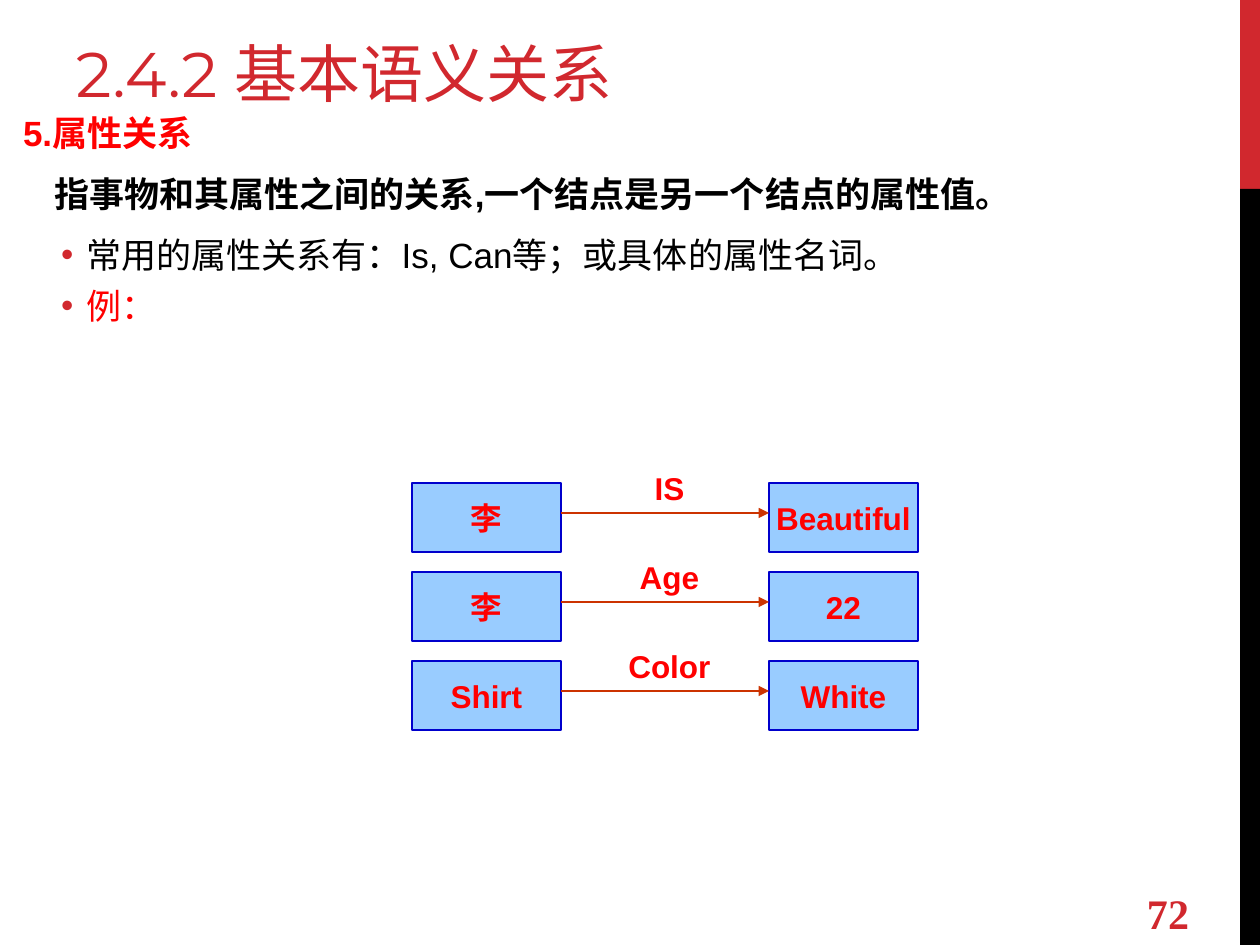
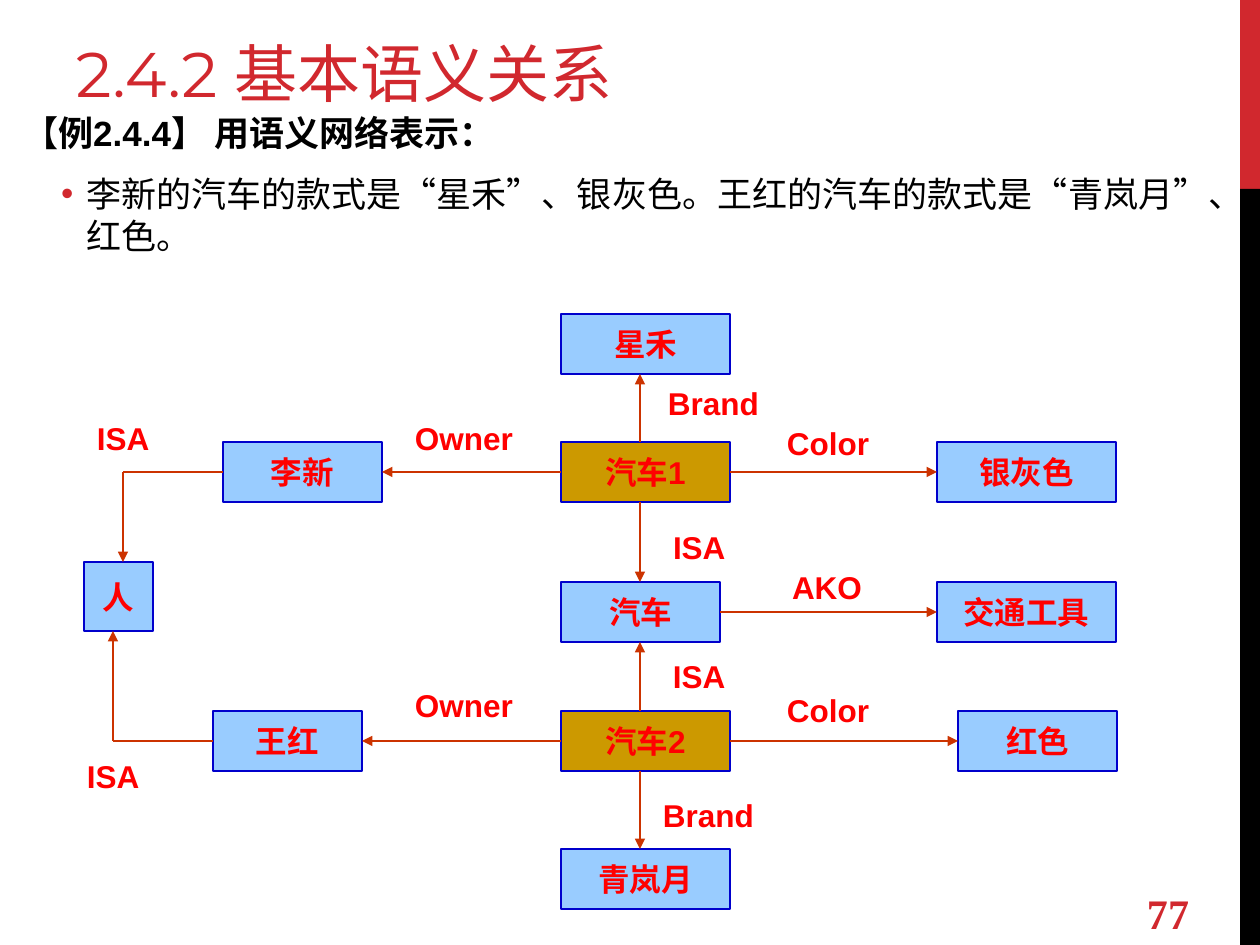
from dataclasses import dataclass

from lxml.etree import SubElement
from pptx import Presentation
from pptx.dml.color import RGBColor
from pptx.enum.shapes import MSO_CONNECTOR, MSO_SHAPE
from pptx.enum.text import MSO_ANCHOR as Anchor, PP_ALIGN as Align
from pptx.oxml.ns import qn
from pptx.util import Pt

EMU_PER_PX = 914400 / 126
SLIDE_WIDTH, SLIDE_HEIGHT = 1260, 945

CRIMSON = RGBColor(0xD1, 0x28, 0x2E)
RED = RGBColor(0xFF, 0x00, 0x00)
BLACK = RGBColor(0x00, 0x00, 0x00)
SKY = RGBColor(0x99, 0xCC, 0xFF)
GOLD = RGBColor(0xCC, 0x99, 0x00)
NAVY = RGBColor(0x00, 0x00, 0xCC)
RUST = RGBColor(0xCC, 0x33, 0x00)

BODY_FONT, TITLE_FONT, SERIF_FONT = "Arial", "Montserrat", "Times New Roman"
TITLE = "2.4.2 基本语义关系"
NODE_HEIGHT = 60
NORMAL_INSETS, SLIM_INSETS = (13, 6), (8, 1)


@dataclass
class Node:
    text: str
    left: int
    top: int
    width: int
    height: int = NODE_HEIGHT
    fill: RGBColor = SKY

    @property
    def right(self):
        return self.left + self.width

    @property
    def bottom(self):
        return self.top + self.height


def px(*lengths):
    return [round(length * EMU_PER_PX) for length in lengths]


def style(paragraph, size, color, bold=True, name=BODY_FONT):
    font = paragraph.font
    font.size, font.bold, font.name = Pt(size), bold, name
    font.color.rgb = color


def add_text_frame(slide, box, anchor=Anchor.TOP, insets=NORMAL_INSETS):
    frame = slide.shapes.add_textbox(*px(*box)).text_frame
    frame.word_wrap = True
    frame.vertical_anchor = anchor
    frame.margin_left, frame.margin_top = px(*insets)
    frame.margin_right, frame.margin_bottom = px(*insets)
    return frame


def add_rectangle(slide, box, fill):
    shape = slide.shapes.add_shape(MSO_SHAPE.RECTANGLE, *px(*box))
    shape.shadow.inherit = False
    shape.fill.solid()
    shape.fill.fore_color.rgb = fill
    shape.line.fill.background()
    return shape


def add_node(slide, node, left=0, top=0):
    box = left + node.left, top + node.top, node.width, node.height
    shape = add_rectangle(slide, box, node.fill)
    shape.line.color.rgb = NAVY
    shape.line.width = Pt(0.75)
    frame = shape.text_frame
    frame.word_wrap = False
    frame.vertical_anchor = Anchor.MIDDLE
    paragraph = frame.paragraphs[0]
    paragraph.text = node.text
    paragraph.alignment = Align.CENTER
    style(paragraph, 18, RED)


def add_line(slide, start, end, arrow=True):
    connector = slide.shapes.add_connector(MSO_CONNECTOR.STRAIGHT, *px(*start, *end))
    connector.line.color.rgb = RUST
    connector.line.width = Pt(1.5)
    properties = connector._element.spPr
    if arrow:
        SubElement(properties.find(qn("a:ln")), qn("a:tailEnd"), type="triangle")
    SubElement(properties, qn("a:effectLst"))


def add_label(slide, text, left, top, width, slim=False, align=Align.LEFT):
    box = left, top, width, 40 if slim else 50
    frame = add_text_frame(slide, box, insets=SLIM_INSETS if slim else NORMAL_INSETS)
    paragraph = frame.paragraphs[0]
    paragraph.text = text
    paragraph.alignment = align
    style(paragraph, 18, RED)


def add_page(presentation, number):
    """Add a slide with the title, side bands and page number."""
    slide = presentation.slides.add_slide(presentation.slide_layouts[6])
    add_rectangle(slide, (1240, 0, 20, 189), CRIMSON)
    add_rectangle(slide, (1240, 189, 20, 756), BLACK)
    title = add_text_frame(slide, (63, 21, 798, 95), Anchor.BOTTOM).paragraphs[0]
    title.text = TITLE
    style(title, 36, CRIMSON, False, TITLE_FONT)
    page = add_text_frame(slide, (1134, 888, 181, 50), Anchor.MIDDLE).paragraphs[0]
    page.text = str(number)
    style(page, 24, CRIMSON, True, SERIF_FONT)
    return slide


def set_indent(paragraph, left, hanging=0):
    margin, indent = px(left, -hanging)
    properties = paragraph._p.get_or_add_pPr()
    properties.set("marL", str(margin))
    properties.set("indent", str(indent))
    return properties


def add_heading(paragraph, text, color, indent=0):
    paragraph.text = text
    paragraph.space_after = Pt(6)
    set_indent(paragraph, indent)
    style(paragraph, 20, color)


def add_bullet(frame, pieces, color=BLACK):
    """Add a bulleted paragraph; quotation marks are set in the serif font."""
    paragraph = frame.add_paragraph()
    paragraph.space_before = Pt(5)
    properties = set_indent(paragraph, 63, 25)
    bullet_color = SubElement(properties, qn("a:buClr"))
    SubElement(bullet_color, qn("a:srgbClr"), val=str(CRIMSON))
    SubElement(properties, qn("a:buFont"), typeface=BODY_FONT)
    SubElement(properties, qn("a:buChar"), char="•")
    style(paragraph, 20, color, False)
    for piece in pieces:
        run = paragraph.add_run()
        run.text = piece
        if piece in "“”":
            run.font.name = SERIF_FONT


def add_relation(slide, left, top, subject, label, value):
    """Draw one subject, labelled arrow and value in a row."""
    source = Node(subject, 0, 0, 149, 69)
    target = Node(value, 357, 0, 149, 69)
    for node in (source, target):
        add_node(slide, node, left, top)
    arrow_y = top + 30
    add_line(slide, (left + source.right, arrow_y), (left + target.left, arrow_y))
    add_label(slide, label, left + 188, top - 20, 139, align=Align.CENTER)


def add_car_network(slide, left, top):
    hub, far, spine = 477, 853, 556
    row_brand1, row_car1, row_kind, row_car2, row_brand2 = 0, 128, 268, 397, 535
    brand1 = Node("星禾", hub, row_brand1, 169)
    owner1 = Node("李新", 139, row_car1, 159)
    car1 = Node("汽车1", hub, row_car1, 169, fill=GOLD)
    color1 = Node("银灰色", far, row_car1, 179)
    person = Node("人", 0, 248, 69, 69)
    kind = Node("汽车", hub, row_kind, 159)
    vehicle = Node("交通工具", far, row_kind, 179)
    owner2 = Node("王红", 129, row_car2, 149)
    car2 = Node("汽车2", hub, row_car2, 169, fill=GOLD)
    color2 = Node("红色", 874, row_car2, 159)
    brand2 = Node("青岚月", hub, row_brand2, 169)

    def line(start, end, arrow=True):
        add_line(slide, (left + start[0], top + start[1]),
                 (left + end[0], top + end[1]), arrow)

    def link(source, target):
        """Join nodes across their row, or along the spine between rows."""
        if source.top == target.top:
            y = source.top + NODE_HEIGHT // 2
            if source.left < target.left:
                line((source.right, y), (target.left, y))
            else:
                line((source.left, y), (target.right, y))
        elif source.top < target.top:
            line((spine, source.bottom), (spine, target.top))
        else:
            line((spine, source.top), (spine, target.bottom))

    for node in (brand1, owner1, car1, color1, person, kind, vehicle,
                 owner2, car2, color2, brand2):
        add_node(slide, node, left, top)

    for car, neighbours in ((car1, (brand1, owner1, color1, kind)),
                            (car2, (brand2, owner2, color2, kind)),
                            (kind, (vehicle,))):
        for neighbour in neighbours:
            link(car, neighbour)

    for owner, x, person_edge in ((owner1, 39, person.top),
                                  (owner2, 29, person.bottom)):
        y = owner.top + NODE_HEIGHT // 2
        line((owner.left, y), (x, y), arrow=False)
        line((x, y), (x, person_edge))

    for text, x, y, width, slim in (
            ("Brand", 576, 69, 139, True), ("Owner", 318, 99, 139, False),
            ("Color", 695, 109, 100, True), ("ISA", 576, 208, 80, False),
            ("ISA", 576, 337, 100, False), ("AKO", 695, 248, 110, False),
            ("Color", 695, 376, 139, True), ("Owner", 318, 366, 129, False),
            ("Brand", 566, 476, 149, False), ("ISA", 0, 99, 90, False),
            ("ISA", -10, 437, 100, False)):
        add_label(slide, text, left + x, top + y, width, slim)


def build_attribute_slide(presentation):
    slide = add_page(presentation, 72)
    frame = add_text_frame(slide, (10, 105, 1239, 321))
    add_heading(frame.paragraphs[0], "5.属性关系", RED)
    definition = frame.add_paragraph()
    definition.space_before = Pt(5)
    add_heading(definition, "指事物和其属性之间的关系,一个结点是另一个结点的属性值。", BLACK, 31)
    add_bullet(frame, ["常用的属性关系有：Is, Can等；或具体的属性名词。"])
    add_bullet(frame, ["例："], RED)
    relations = (("李", "IS", "Beautiful"), ("李", "Age", "22"),
                 ("Shirt", "Color", "White"))
    for row, relation in enumerate(relations):
        add_relation(slide, 412, 483 + 89 * row, *relation)


def build_example_slide(presentation):
    slide = add_page(presentation, 77)
    frame = add_text_frame(slide, (10, 105, 1239, 181))
    add_heading(frame.paragraphs[0], "【例2.4.4】 用语义网络表示：", BLACK)
    add_bullet(frame, ["李新的汽车的款式是", "“", "星禾", "”", "、银灰色。王红的汽车的款式是",
                       "“", "青岚月", "”", "、红色。"])
    add_car_network(slide, 84, 314)


def main():
    presentation = Presentation()
    presentation.slide_width, presentation.slide_height = px(SLIDE_WIDTH, SLIDE_HEIGHT)
    build_attribute_slide(presentation)
    build_example_slide(presentation)
    presentation.save("out.pptx")


if __name__ == "__main__":
    main()
